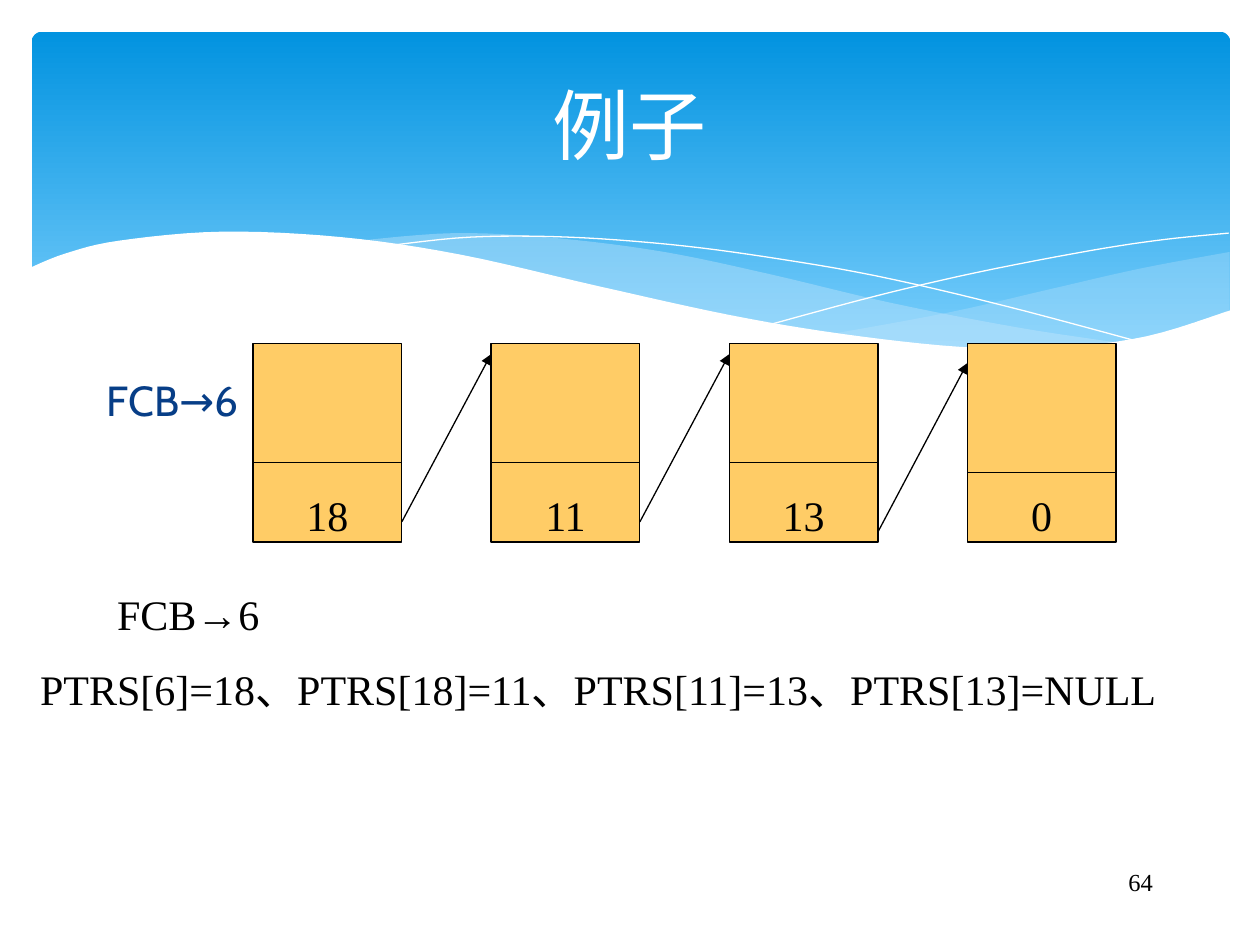
from dataclasses import dataclass

from lxml import etree
from pptx import Presentation
from pptx.dml.color import RGBColor
from pptx.enum.shapes import MSO_CONNECTOR, MSO_SHAPE
from pptx.enum.text import MSO_ANCHOR, PP_ALIGN
from pptx.oxml.ns import qn
from pptx.util import Cm, Pt

RECT, ROUND_RECT = MSO_SHAPE.RECTANGLE, MSO_SHAPE.ROUNDED_RECTANGLE
STRAIGHT = MSO_CONNECTOR.STRAIGHT
TOP, MIDDLE, BOTTOM = MSO_ANCHOR.TOP, MSO_ANCHOR.MIDDLE, MSO_ANCHOR.BOTTOM
LEFT, CENTER, RIGHT = PP_ALIGN.LEFT, PP_ALIGN.CENTER, PP_ALIGN.RIGHT

WHITE = RGBColor(0xFF, 0xFF, 0xFF)
BLACK = RGBColor(0x00, 0x00, 0x00)
NAVY = RGBColor(0x07, 0x3E, 0x87)
ORANGE = RGBColor(0xFF, 0xCC, 0x66)
SKY_DARK = RGBColor(0x02, 0x93, 0xE0)
SKY_LIGHT = RGBColor(0x83, 0xD3, 0xFE)
MIST = RGBColor(0xC6, 0xE7, 0xFC)
SERIF, SANS = "Times New Roman", "Cabin"

Points = list[tuple[float, float]]


@dataclass
class Label:
    text: str
    box: tuple[float, float, float, float]
    font: str = SERIF
    size: int = 24
    color: RGBColor = BLACK
    align: PP_ALIGN = LEFT
    anchor: MSO_ANCHOR = TOP
    wrap: bool = True
    space_before: int = 0
    fill: RGBColor | None = None


@dataclass
class Node:
    pointer: str
    divider: float
    arrow: tuple[float, float] | None  # start and end height


# Wave outlines in centimetres
RIGHT_TOP = [(16.79, 6.73), (19.13, 6.3), (21.13, 5.84), (23.01, 5.41), (24.79, 5.08)]
RIGHT_BOTTOM = [(24.79, 6.27), (23.57, 6.68), (22.15, 6.96), (20.4, 7.06),
                (18.59, 6.96), (16.79, 6.73)]
MID_TOP = [(7.26, 4.85), (9.17, 4.7), (11.2, 4.8), (13.39, 5.08), (15.57, 5.54),
           (17.93, 6.1), (20.5, 6.6), (22.68, 6.93)]
MID_BOTTOM = [(22.68, 6.93), (20.78, 7.09), (18.69, 6.99), (16.51, 6.71),
              (14.38, 6.3), (11.4, 5.64), (9.19, 5.16), (7.26, 4.85)]
FALLING_LINE = [(7.85, 4.95), (9.5, 4.78), (11.43, 4.78), (13.51, 4.93),
                (15.44, 5.18), (17.65, 5.56), (20.19, 6.15), (23.04, 6.91)]
RISING_LINE = [(15.57, 6.53), (17.65, 5.97), (19.71, 5.49), (22, 5.05),
               (23.47, 4.83), (24.77, 4.7)]
WHITE_EDGE = [(24.82, 6.25), (23.11, 6.78), (21.26, 7.01), (19.33, 6.99),
              (16.97, 6.73), (14.71, 6.35), (12.07, 5.77), (9.27, 5.13),
              (6.88, 4.78), (4.47, 4.67), (2.41, 4.85), (1.32, 5.11), (0.58, 5.41)]
WHITE_BASE = [(0.58, 8.36), (24.82, 8.36)]

# Linked list of disk blocks
NODE_LEFT, NODE_TOP, NODE_W, NODE_H, NODE_STEP = 5.1, 6.93, 3, 4, 4.8
NODES = [
    Node("18", 9.32, (10.52, 7.14)),
    Node("11", 9.32, (10.52, 7.14)),
    Node("13", 9.32, (10.72, 7.32)),
    Node("0", 9.53, None),
]

LABELS = [
    Label("64", (18.21, 17.35, 5.28, 1.27), size=14, align=RIGHT),
    Label("例子", (1.9, 0.91, 21.6, 3.18), SANS, 44, WHITE, CENTER, MIDDLE),
    Label("FCB→6", (1.9, 7.42, 21.1, 9.58), SANS, color=NAVY, space_before=6),
    Label("PTRS[6]=18、PTRS[18]=11、PTRS[11]=13、PTRS[13]=NULL",
          (0.56, 13.26, 24.28, 1.27), wrap=False, fill=WHITE),
    Label("FCB→6", (2.11, 11.73, 3.38, 1.27), wrap=False),
]


def smooth(points: Points, steps: int = 6) -> Points:
    """Catmull-Rom curve through the points."""
    padded = [points[0], *points, points[-1]]
    curve = [points[0]]
    for a, b, c, d in zip(padded, padded[1:], padded[2:], padded[3:]):
        for k in range(1, steps + 1):
            t = k / steps
            x, y = (
                0.5 * (2 * q + (r - p) * t + (2 * p - 5 * q + 4 * r - s) * t**2
                       + (3 * q - p - 3 * r + s) * t**3)
                for p, q, r, s in zip(a, b, c, d)
            )
            curve.append((x, y))
    return curve


def add_wave(s, points: Points, fill: RGBColor | None = None, alpha: int = 100) -> None:
    """Filled area, or a white hairline when there is no fill."""
    pts = [(Cm(x), Cm(y)) for x, y in points]
    builder = s.shapes.build_freeform(*pts[0])
    builder.add_line_segments(pts[1:], close=fill is not None)
    sp = builder.convert_to_shape()
    sp.shadow.inherit = False
    if fill is None:
        sp.fill.background()
        sp.line.color.rgb = WHITE
        sp.line.width = Pt(0)
        return
    sp.fill.solid()
    sp.fill.fore_color.rgb = fill
    sp.line.fill.background()
    if alpha < 100:
        clr = sp.fill._xPr.find(qn("a:solidFill"))[0]
        etree.SubElement(clr, qn("a:alpha")).set("val", str(alpha * 1000))


def add_line(s, x1: float, y1: float, x2: float, y2: float, arrow: bool = False) -> None:
    cn = s.shapes.add_connector(STRAIGHT, Cm(x1), Cm(y1), Cm(x2), Cm(y2))
    cn.line.color.rgb = BLACK
    cn.line.width = Pt(0.75)
    if arrow:
        etree.SubElement(cn.line._get_or_add_ln(), qn("a:tailEnd")).set("type", "triangle")
    etree.SubElement(cn._element.spPr, qn("a:effectLst"))


def write(sp, label: Label) -> None:
    tf = sp.text_frame
    tf.word_wrap = label.wrap
    tf.vertical_anchor = label.anchor
    p = tf.paragraphs[0]
    p.text = label.text
    p.alignment = label.align
    p.space_before = Pt(label.space_before)
    p.font.name, p.font.size = label.font, Pt(label.size)
    p.font.color.rgb = label.color


def add_label(s, label: Label) -> None:
    sp = s.shapes.add_textbox(*map(Cm, label.box))
    if label.fill is not None:
        sp.fill.solid()
        sp.fill.fore_color.rgb = label.fill
    write(sp, label)


def add_node(s, x: float, node: Node) -> None:
    box = (x, NODE_TOP, NODE_W, NODE_H)
    sp = s.shapes.add_shape(RECT, *map(Cm, box))
    sp.shadow.inherit = False
    sp.fill.solid()
    sp.fill.fore_color.rgb = ORANGE
    sp.line.color.rgb = BLACK
    sp.line.width = Pt(0.75)
    write(sp, Label(node.pointer, box, align=CENTER, anchor=BOTTOM, wrap=False))
    sp.text_frame.margin_bottom = Cm(0.05)
    right = x + NODE_W
    add_line(s, x, node.divider, right, node.divider)
    if node.arrow:
        start, end = node.arrow
        add_line(s, right, start, x + NODE_STEP, end, arrow=True)


def add_banner(s) -> None:
    sp = s.shapes.add_shape(ROUND_RECT, Cm(0.64), Cm(0.64), Cm(24.16), Cm(6.86))
    sp.adjustments[0] = 0.03
    sp.shadow.inherit = False
    sp.line.fill.background()
    sp.fill.gradient()
    sp.fill.gradient_angle = 270
    for stop, color in zip(sp.fill.gradient_stops, (SKY_DARK, SKY_LIGHT)):
        stop.color.rgb = color
    add_wave(s, smooth(RIGHT_TOP) + smooth(RIGHT_BOTTOM), MIST, 29)
    add_wave(s, smooth(MID_TOP) + smooth(MID_BOTTOM), MIST, 40)
    add_wave(s, smooth(FALLING_LINE))
    add_wave(s, smooth(RISING_LINE))
    add_wave(s, smooth(WHITE_EDGE) + WHITE_BASE, WHITE)


def main() -> None:
    prs = Presentation()
    prs.slide_width, prs.slide_height = Cm(25.4), Cm(19.05)
    s = prs.slides.add_slide(prs.slide_layouts[6])
    add_banner(s)
    for label in LABELS:
        add_label(s, label)
    for i, node in enumerate(NODES):
        add_node(s, NODE_LEFT + i * NODE_STEP, node)
    prs.save("out.pptx")


if __name__ == "__main__":
    main()
